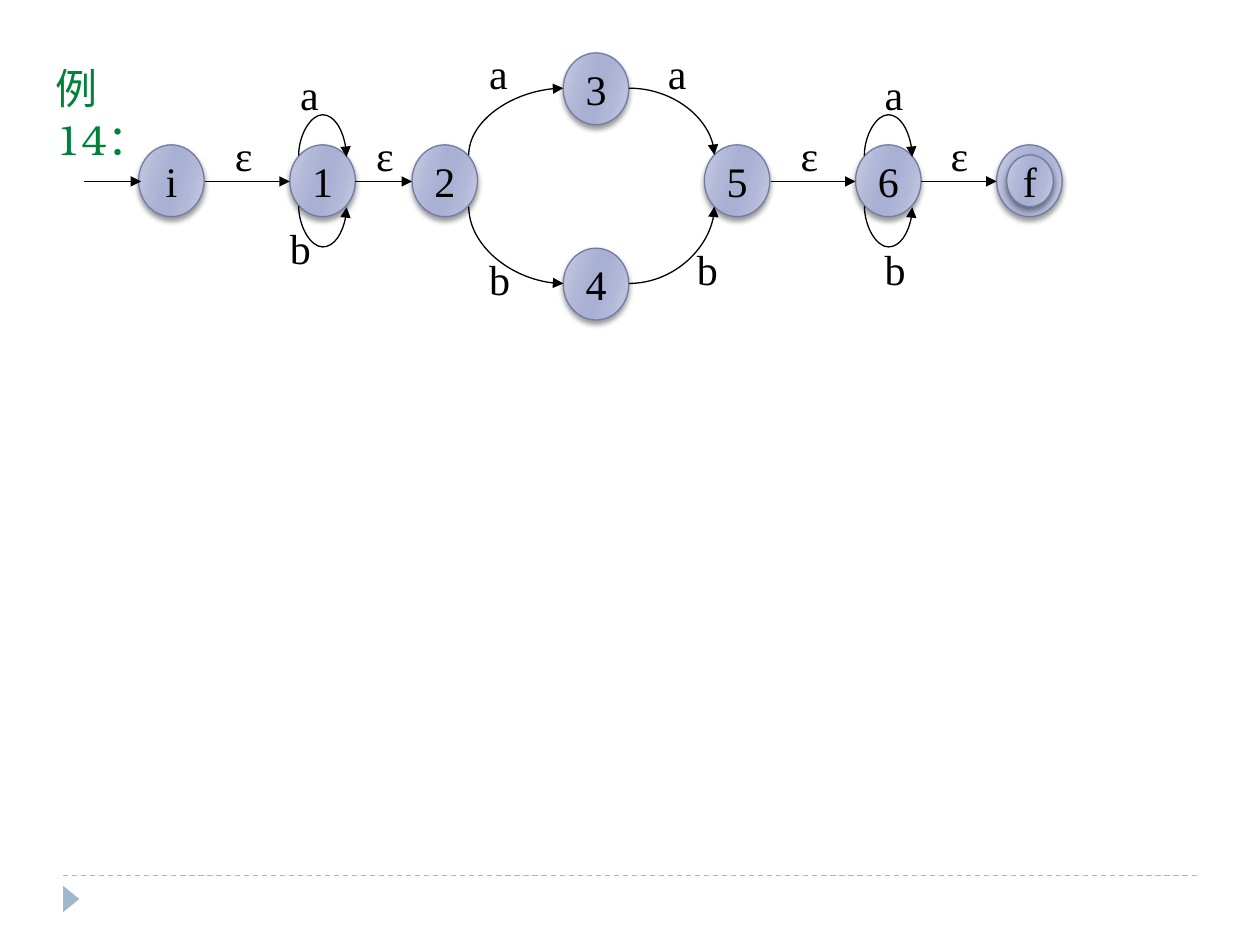
from lxml import etree
from pptx import Presentation
from pptx.dml.color import RGBColor
from pptx.enum.dml import MSO_LINE
from pptx.enum.shapes import MSO_CONNECTOR, MSO_SHAPE
from pptx.enum.text import MSO_ANCHOR, PP_ALIGN
from pptx.oxml.ns import qn
from pptx.util import Inches, Pt

STRAIGHT, CURVE = MSO_CONNECTOR.STRAIGHT, MSO_CONNECTOR.CURVE
OVAL, TRIANGLE = MSO_SHAPE.OVAL, MSO_SHAPE.ISOSCELES_TRIANGLE
DASH = MSO_LINE.DASH
MIDDLE, CENTER = MSO_ANCHOR.MIDDLE, PP_ALIGN.CENTER

BLACK, FOOTER_BLUE, NODE_LINE, HEADING_GREEN = "000000", "9FB8CD", "727CA3", "00823B"
NODE_GRADIENT = [(0, "C9CDE2"), (30, "B1B7D7"), (45, "A8B0D3"),
                 (55, "A8B0D3"), (73, "B1B7D7"), (100, "C9CDE2")]
SHADOW = {"blurRad": Pt(3), "dist": Pt(2), "dir": 90 * 60000, "rotWithShape": 0}
color = RGBColor.from_string


def add_xml(parent, tag, **attributes):
    return etree.SubElement(parent, qn(tag), {key: str(value) for key, value in attributes.items()})


def write_centered(shape, text):
    frame = shape.text_frame
    frame.word_wrap = False
    frame.vertical_anchor = MIDDLE
    paragraph = frame.paragraphs[0]
    paragraph.alignment = CENTER
    run = paragraph.add_run()
    run.text = text
    run.font.size = Pt(24)
    run.font.name = "Times New Roman"
    run.font.color.rgb = color(BLACK)


presentation = Presentation()
presentation.slide_width, presentation.slide_height = Inches(10), Inches(7.5)
slide = presentation.slides.add_slide(presentation.slide_layouts[6])
shapes = slide.shapes

# Footer rule and marker
rule = shapes.add_connector(STRAIGHT, Inches(0.5), Inches(6.95), Inches(9.5), Inches(6.95))
rule.line.color.rgb = color(FOOTER_BLUE)
rule.line.width = Pt(0.75)
rule.line.dash_style = DASH
add_xml(rule._element.spPr, "a:effectLst")

marker = shapes.add_shape(TRIANGLE, Inches(0.46), Inches(7.07), Inches(0.21), Inches(0.13))
marker.rotation = 90
marker.shadow.inherit = False
marker.fill.solid()
marker.fill.fore_color.rgb = color(FOOTER_BLUE)
marker.line.fill.background()

# States: the accepting state is a group of two ovals
AXIS = 1.44
accepting = shapes.add_group_shape()
states = [
    (shapes, "4", 4.47, 1.97, 0.52, 0.57),
    (shapes, "3", 4.47, 0.42, 0.52, 0.57),
    (accepting.shapes, "", 7.91, 1.15, 0.52, 0.57),
    (accepting.shapes, "f", 7.99, 1.23, 0.37, 0.41),
]
for name, left in [("5", 5.59), ("6", 6.79), ("2", 3.27), ("1", 2.3), ("i", 1.1)]:
    states.append((shapes, name, left, 1.15, 0.52, 0.57))

for container, name, left, top, width, height in states:
    state = container.add_shape(OVAL, Inches(left), Inches(top), Inches(width), Inches(height))
    state.line.color.rgb = color(NODE_LINE)
    state.line.width = Pt(0.75)
    state.fill.gradient()
    gradient = state._element.spPr.find(qn("a:gradFill"))
    for child in list(gradient):
        gradient.remove(child)
    stops = add_xml(gradient, "a:gsLst")
    for position, shade in NODE_GRADIENT:
        stop = add_xml(stops, "a:gs", pos=position * 1000)
        add_xml(stop, "a:srgbClr", val=shade)
    add_xml(gradient, "a:lin", ang=16 * 60000, scaled=0)
    effects = add_xml(state._element.spPr, "a:effectLst")
    shadow = add_xml(effects, "a:outerShdw", **SHADOW)
    add_xml(add_xml(shadow, "a:srgbClr", val=BLACK), "a:alpha", val=40000)
    if name:
        write_centered(state, name)

# Transitions: start, end, rotation, flip, and bulge for the self-loops
arrows = []
for start, end in [(0.67, 1.12), (1.63, 2.3), (2.82, 3.27), (6.12, 6.79), (7.31, 7.91)]:
    connector = shapes.add_connector(STRAIGHT, Inches(start), Inches(AXIS), Inches(end), Inches(AXIS))
    arrows.append(connector)

curves = [
    ((3.72, 1.23), (4.47, 0.7), 270, None, None),
    ((3.72, 1.64), (4.47, 2.25), 270, "flipH", None),
    ((4.99, 0.7), (5.67, 1.23), 0, None, None),
    ((4.99, 2.25), (5.67, 1.64), 0, "flipV", None),
]
for left in (2.37, 6.86):
    curves.append(((left, 1.24), (left + 0.38, 1.24), 90, "flipV", -0.33))
    curves.append(((left, 1.64), (left + 0.38, 1.64), 270, "flipH", 0.33))

LOOP_DEPTH = 0.01
for (x1, y1), (x2, y2), rotation, flip, bulge in curves:
    width, height = x2 - x1, max(abs(y2 - y1), LOOP_DEPTH)
    if rotation:
        width, height = height, width
    left, top = (x1 + x2 - width) / 2, (y1 + y2 - height) / 2
    connector = shapes.add_connector(CURVE, Inches(left), Inches(top),
                                     Inches(left + width), Inches(top + height))
    frame = connector._element.spPr.find(qn("a:xfrm"))
    frame.set("rot", str(rotation * 60000))
    if flip:
        frame.set(flip, "1")
    geometry = connector._element.spPr.find(qn("a:prstGeom"))
    if bulge is None:
        geometry.set("prst", "curvedConnector2")
    else:
        adjustments = geometry.find(qn("a:avLst"))
        add_xml(adjustments, "a:gd", name="adj1", fmla=f"val {round(bulge / LOOP_DEPTH * 100000)}")
    arrows.append(connector)

for arrow in arrows:
    arrow.line.color.rgb = color(BLACK)
    arrow.line.width = Pt(0.75)
    add_xml(arrow.line._get_or_add_ln(), "a:tailEnd", type="triangle")
    add_xml(arrow._element.spPr, "a:effectLst")

# Transition labels
labels = {
    "ε": [(1.76, 0.98), (2.88, 0.98), (6.25, 0.98), (7.44, 0.98)],
    "a": [(2.28, 0.49), (5.2, 0.33), (6.92, 0.49), (3.78, 0.33)],
    "b": [(2.2, 1.72), (3.78, 1.96), (5.43, 1.88), (6.92, 1.88)],
}
for symbol, places in labels.items():
    for left, top in places:
        width = 0.37 if symbol == "b" else 0.35
        label = shapes.add_textbox(Inches(left), Inches(top), Inches(width), Inches(0.5))
        write_centered(label, symbol)

# Heading, with a right margin that puts the number on the second line
heading = shapes.add_textbox(Inches(0.04), Inches(0.45), Inches(1.72), Inches(0.55))
heading.text_frame.word_wrap = True
heading.text_frame.margin_right = Inches(0.45)
paragraph = heading.text_frame.paragraphs[0]
paragraph.level = 1
paragraph.space_before = Pt(5)
properties = paragraph._p.get_or_add_pPr()
properties.set("marL", str(Inches(0.3)))
properties.set("indent", "0")
run = paragraph.add_run()
run.text = "例14："
run.font.size = Pt(24)
run.font.name = "TeX Gyre Bonum"
run.font.color.rgb = color(HEADING_GREEN)

presentation.save("out.pptx")
